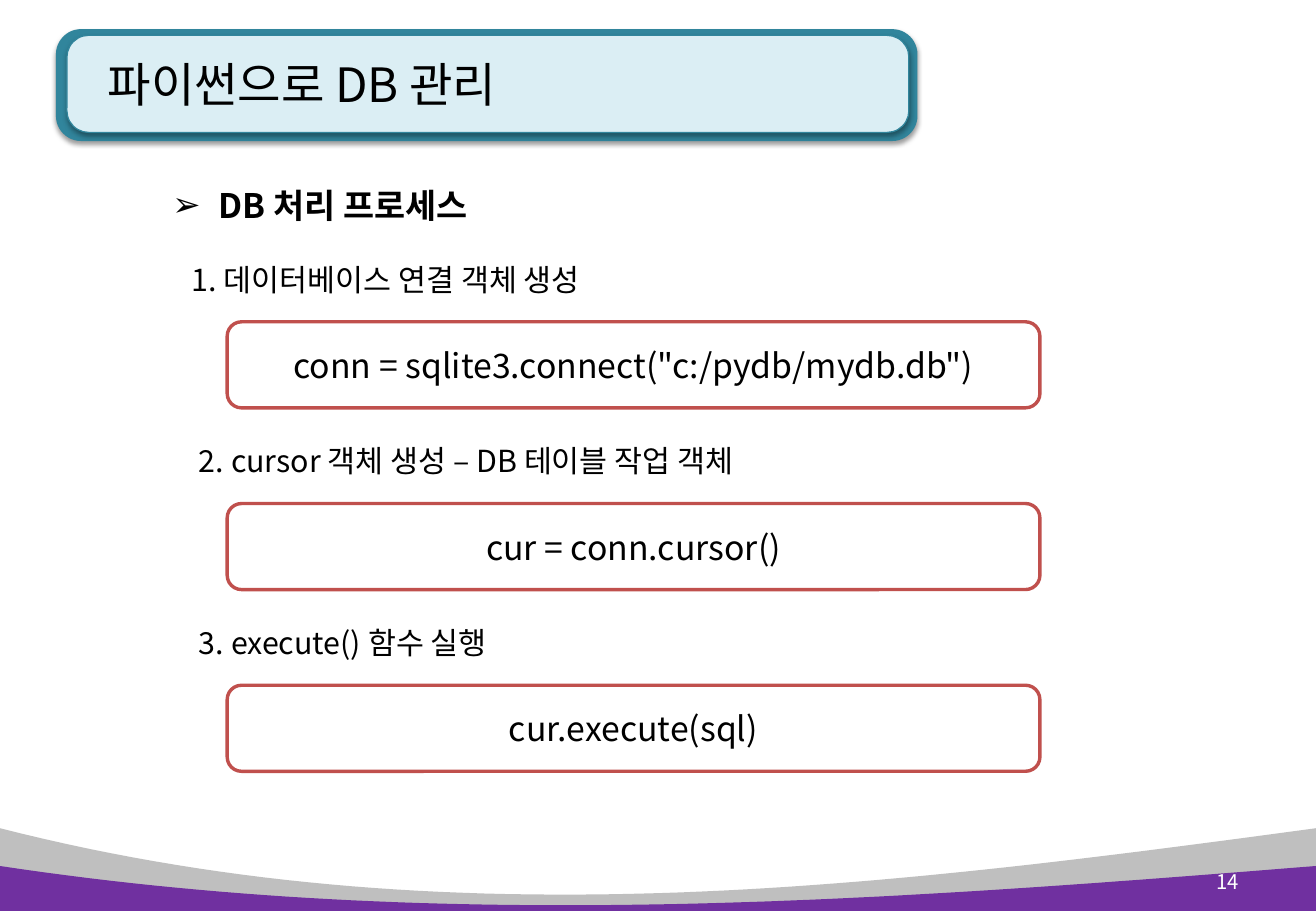
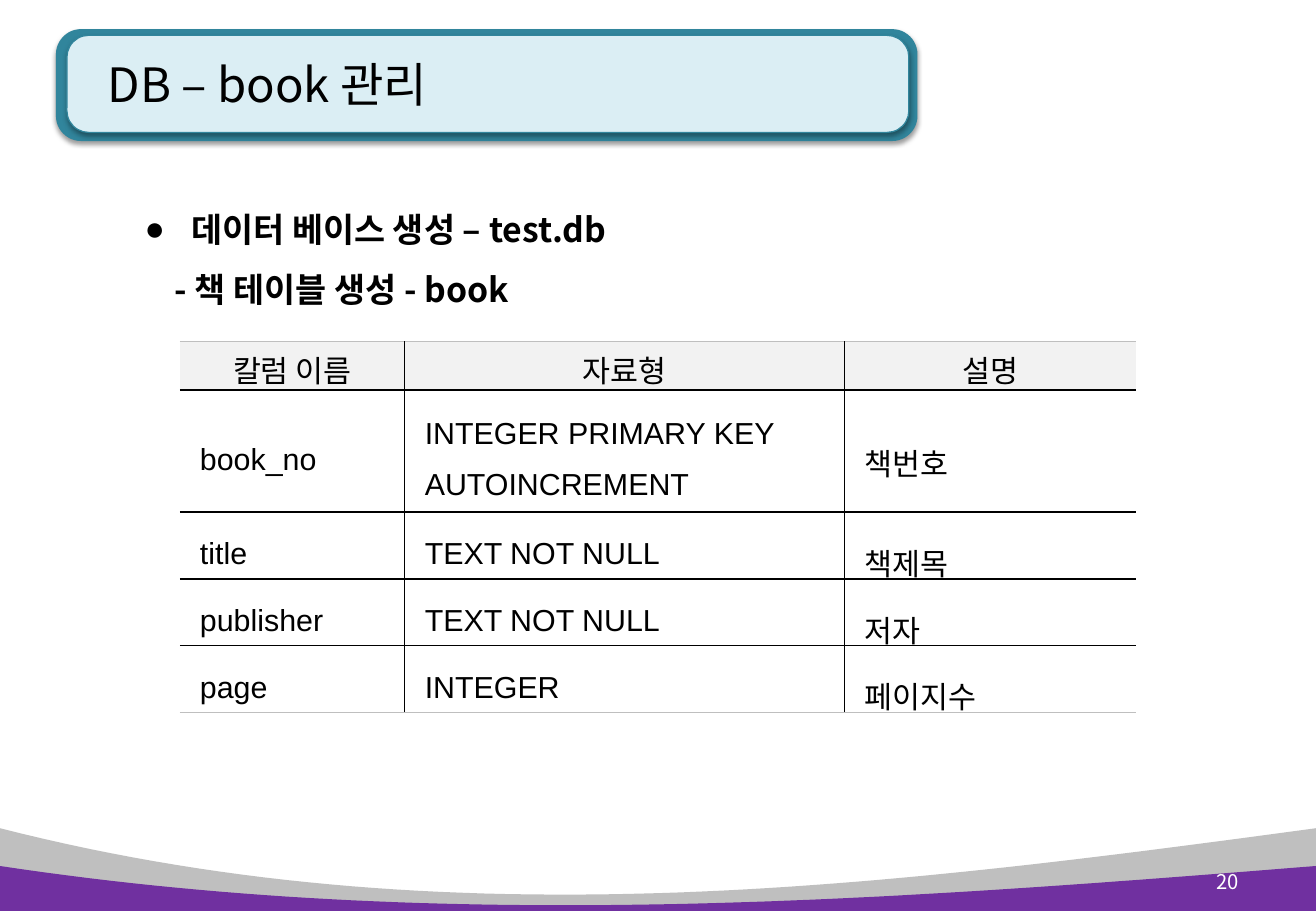
from lxml.etree import SubElement
from pptx import Presentation
from pptx.dml.color import RGBColor
from pptx.enum.shapes import MSO_SHAPE as Shape
from pptx.enum.text import MSO_ANCHOR as Anchor, MSO_AUTO_SIZE as AutoSize, PP_ALIGN as Align
from pptx.oxml.ns import qn
from pptx.util import Cm, Pt

COLORS = {
    "text": "000000", "paper": "FFFFFF", "wave_back": "BFBFBF", "wave_front": "7030A0",
    "band": "31859C", "band_inner": "DBEEF4", "code_line": "C0504D",
    "header_fill": "F2F2F2", "outer_rule": "BFBFBF",
}
KOREAN, LATIN = "Noto Sans CJK KR", "Arial"
SLIDE_W, SLIDE_H = 27.51, 19.05


def color(key):
    """Return a palette colour."""
    return RGBColor.from_string(COLORS[key])


def place(part, box):
    """Move a part to a box of (left, top, width, height) in cm."""
    part.left, part.top, part.width, part.height = map(Cm, box)


def style(paragraph, size, ink="text", latin=KOREAN, bold=False, align=Align.LEFT, spacing=1.0):
    """Format a whole paragraph, with the Korean face for East Asian text."""
    font = paragraph.font
    font.name, font.size, font.bold = latin, Pt(size), bold
    font.color.rgb = color(ink)
    paragraph.alignment, paragraph.line_spacing = align, spacing
    paragraph.space_before = Pt(0)
    defaults = paragraph._p.pPr.find(qn("a:defRPr"))
    SubElement(defaults, qn("a:ea"), typeface=KOREAN)


def set_bullet(paragraph, mark, margin, indent=0):
    """Give a styled paragraph its indents (cm) and a bullet, or none."""
    props = paragraph._p.pPr
    props.set("marL", str(Cm(margin)))
    props.set("indent", str(Cm(indent)))
    bullet = SubElement(props, qn("a:buChar" if mark else "a:buNone"))
    if mark:
        bullet.set("char", mark)
    props.find(qn("a:defRPr")).addprevious(bullet)


def add_label(slide, box, text, size, margin=0.25, anchor=Anchor.TOP, **look):
    """Add a one-paragraph text box."""
    label = slide.shapes.add_textbox(*map(Cm, box))
    frame = label.text_frame
    frame.word_wrap, frame.vertical_anchor = True, anchor
    frame.margin_left = Cm(margin)
    frame.text = text
    style(frame.paragraphs[0], size, **look)


def add_panel(slide, box, fill, line=None, width=0.75, corner=None):
    """Add a rounded panel without shadow."""
    panel = slide.shapes.add_shape(Shape.ROUNDED_RECTANGLE, *map(Cm, box))
    panel.shadow.inherit = False
    panel.fill.solid()
    panel.fill.fore_color.rgb = color(fill)
    if line:
        panel.line.color.rgb = color(line)
        panel.line.width = Pt(width)
    else:
        panel.line.fill.background()
    if corner:
        panel.adjustments[0] = corner
    return panel


def add_soft_shadow(panel):
    """Drop a soft shadow straight below a panel."""
    effects = panel.element.spPr.find(qn("a:effectLst"))
    shadow = SubElement(effects, qn("a:outerShdw"), blurRad=str(Pt(3.1)), dist=str(Pt(1.6)),
                        dir="5400000", algn="t", rotWithShape="0")
    ink = SubElement(shadow, qn("a:srgbClr"), val=COLORS["text"])
    SubElement(ink, qn("a:alpha"), val="38000")


def add_wave(slide, edge, dip_left, dip_right, fill, steps=60):
    """Fill the slide foot below a cubic curve; heights are in cm."""
    def bezier(t, a, b, c, d):
        u = 1 - t
        return Cm(u**3 * a + 3 * u * u * t * b + 3 * u * t * t * c + t**3 * d)

    curve = [(bezier(i / steps, 0, 9.27, 18.29, SLIDE_W),
              bezier(i / steps, edge, dip_left, dip_right, edge)) for i in range(steps + 1)]
    outline = slide.shapes.build_freeform(*curve[0], scale=1.0)
    outline.add_line_segments(curve[1:] + [(Cm(SLIDE_W), Cm(SLIDE_H)), (0, Cm(SLIDE_H))])
    wave = outline.convert_to_shape()
    wave.shadow.inherit = False
    wave.fill.solid()
    wave.fill.fore_color.rgb = color(fill)
    wave.line.fill.background()
    return wave


def dress_layout(layout, slide):
    """Draw the title band and foot waves, and move them into the layout."""
    for holder in list(layout.placeholders):
        if holder.placeholder_format.idx > 1:
            holder.element.getparent().remove(holder.element)
    place(layout.placeholders[0], (1.75, 0.56, 17.22, 2.39))
    band = add_panel(slide, (1.17, 0.61, 18.01, 2.34), "band", corner=0.225)
    band_inner = add_panel(slide, (1.4, 0.74, 17.6, 2.03), "band_inner", "band", corner=0.225)
    add_soft_shadow(band)
    add_soft_shadow(band_inner)
    decor = [add_wave(slide, 17.32, 19.69, 18.57, "wave_back"), band, band_inner,
             add_wave(slide, 18.11, 19.51, 18.85, "wave_front")]
    for position, part in enumerate(decor, start=2):
        layout.shapes.element.insert(position, part.element)


def fill_frame(slide, title, number):
    """Write the title and the page number."""
    frame = slide.shapes.title.text_frame
    frame.text = title
    frame.vertical_anchor = Anchor.MIDDLE
    frame.margin_left = Cm(0.5)
    style(frame.paragraphs[0], 28)
    add_label(slide, (24.59, 17.93, 1.55, 1.02), number, 12, anchor=Anchor.MIDDLE,
              ink="paper", align=Align.RIGHT)


def fill_heading(slide, box, lines, spacing=1.0):
    """Write bold heading lines, given as (text, bullet, margin, indent)."""
    heading = slide.placeholders[1]
    place(heading, box)
    frame = heading.text_frame
    frame.auto_size = AutoSize.SHAPE_TO_FIT_TEXT
    frame.text = "\n".join(line[0] for line in lines)
    for paragraph, (_, *bullet) in zip(frame.paragraphs, lines):
        style(paragraph, 20, bold=True, spacing=spacing)
        set_bullet(paragraph, *bullet)


def add_step(slide, left, top, caption, code, margin):
    """Add a numbered caption with its code panel below."""
    add_label(slide, (left, top, 16.41, 1.02), caption, 18, margin)
    panel = add_panel(slide, (left + 0.99, top + 1.4, 16.99, 1.8), "paper", "code_line", 2)
    panel.text_frame.text = code
    panel.text_frame.vertical_anchor = Anchor.MIDDLE
    style(panel.text_frame.paragraphs[0], 20, align=Align.CENTER)


def set_border(cell, side, ink, width):
    """Draw one cell edge, or hide it when ink is None."""
    edge = SubElement(cell._tc.get_or_add_tcPr(), qn(f"a:ln{side}"), w=str(Pt(width)))
    if ink:
        SubElement(SubElement(edge, qn("a:solidFill")), qn("a:srgbClr"), val=COLORS[ink])
    else:
        SubElement(edge, qn("a:noFill"))


def add_column_table(slide, left, top, widths, heights, rows):
    """Add the column description table, open at both sides."""
    table = slide.shapes.add_table(len(rows), len(widths), Cm(left), Cm(top),
                                   Cm(sum(widths)), Cm(sum(heights))).table
    table.first_row = table.horz_banding = False
    for column, width in zip(table.columns, widths):
        column.width = Cm(width)
    for row, height in zip(table.rows, heights):
        row.height = Cm(height)
    last_row, last_column = len(rows) - 1, len(widths) - 1
    for r, row in enumerate(rows):
        for c, text in enumerate(row):
            cell = table.cell(r, c)
            cell.text = text
            cell.vertical_anchor = Anchor.MIDDLE
            edges = {"L": c > 0, "R": c < last_column, "T": r > 0, "B": r < last_row}
            for side, inner in edges.items():
                outer = "outer_rule" if side in "TB" else None
                set_border(cell, side, "text" if inner else outer, 1 if inner else 0.5)
            if r == 0:
                cell.fill.solid()
                cell.fill.fore_color.rgb = color("header_fill")
                look = {"align": Align.CENTER}
            else:
                cell.fill.background()
                cell.margin_left = Cm(0.42)
                look = {"latin": LATIN, "spacing": 1.5}
            for paragraph in cell.text_frame.paragraphs:
                style(paragraph, 18, **look)


def build_process(slide):
    """Fill the slide on the database process."""
    fill_frame(slide, "파이썬으로 DB 관리", "14")
    fill_heading(slide, (3.35, 3.73, 8.61, 1.12), [("DB 처리 프로세스", "➢", 0.97, -0.97)])
    steps = [
        ("1. 데이터베이스 연결 객체 생성", 'conn = sqlite3.connect("c:/pydb/mydb.db")', 0.25),
        ("2. cursor 객체 생성 – DB 테이블 작업 객체", "cur = conn.cursor()", 0.4),
        ("3. execute() 함수 실행", "cur.execute(sql)", 0.4),
    ]
    for i, step in enumerate(steps):
        add_step(slide, 3.76, 5.33 + 3.8 * i, *step)


def build_book(slide):
    """Fill the slide on the book table."""
    fill_frame(slide, "DB – book 관리", "20")
    fill_heading(slide, (2.77, 3.81, 16.41, 2.82), [
        ("데이터 베이스 생성 – test.db", "●", 0.97, -0.97),
        ("- 책 테이블 생성 - book", None, 0.62),
    ], spacing=1.5)
    add_column_table(slide, 3.76, 7.14, [4.7, 9.19, 6.1], [0.99, 2.55] + [1.35] * 3, [
        ("칼럼 이름", "자료형", "설명"),
        ("book_no", "INTEGER PRIMARY KEY\nAUTOINCREMENT", "책번호"),
        ("title", "TEXT NOT NULL", "책제목"),
        ("publisher", "TEXT NOT NULL", "저자"),
        ("page", "INTEGER", "페이지수"),
    ])


deck = Presentation()
deck.slide_width, deck.slide_height = Cm(SLIDE_W), Cm(SLIDE_H)
content_layout = deck.slide_layouts[1]
process, book = (deck.slides.add_slide(content_layout) for _ in range(2))
dress_layout(content_layout, process)
build_process(process)
build_book(book)
deck.save("out.pptx")
